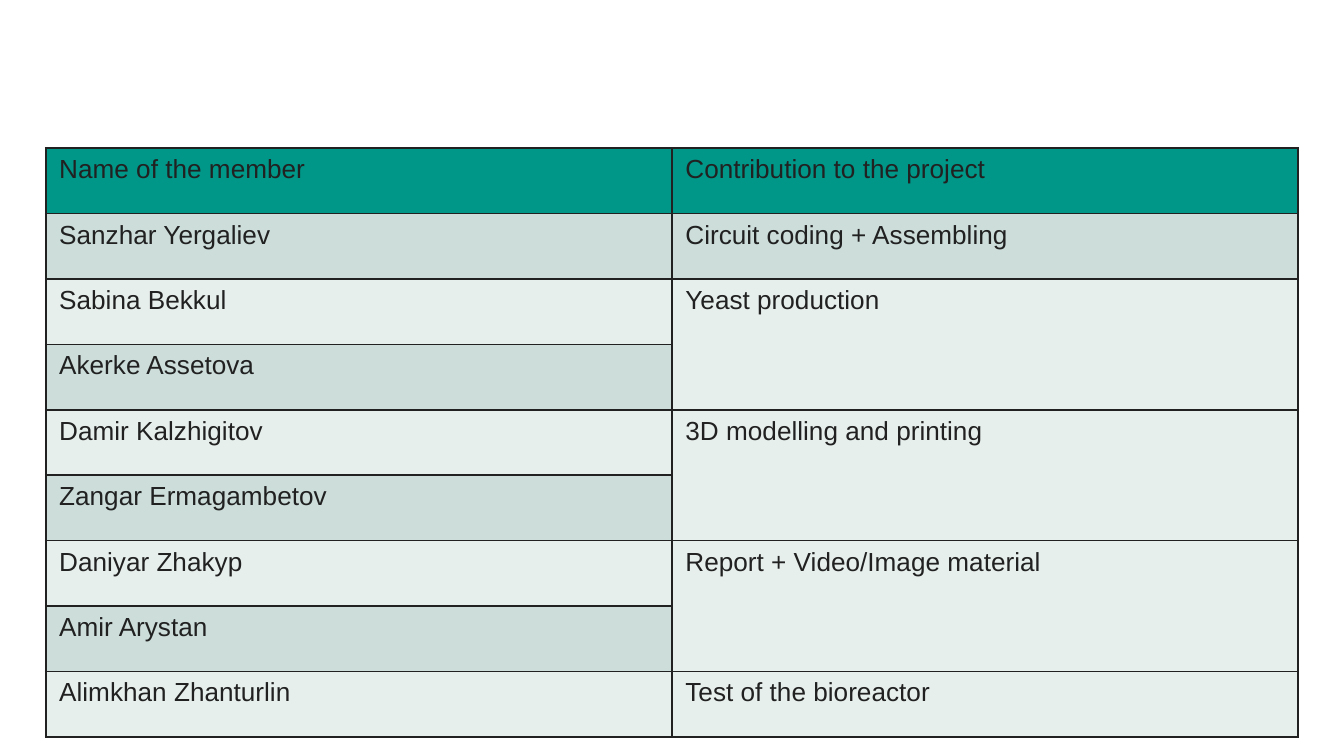
from lxml import etree
from pptx import Presentation
from pptx.dml.color import RGBColor
from pptx.enum.shapes import MSO_SHAPE
from pptx.oxml.ns import qn
from pptx.util import Pt

RECTANGLE = MSO_SHAPE.RECTANGLE
BLANK_LAYOUT = 6
WIDTH, HEIGHT = 720, 405
INK, WHITE = "212121", "FFFFFF"
HEADER_FILL, DARK_BAND, LIGHT_BAND = "009688", "CCDDDA", "E7EFED"
HEADER = ("Name of the member", "Contribution to the project")
TEAMS = [
    ("Circuit coding + Assembling", ["Sanzhar Yergaliev"]),
    ("Yeast production", ["Sabina Bekkul", "Akerke Assetova"]),
    ("3D modelling and printing", ["Damir Kalzhigitov", "Zangar Ermagambetov"]),
    ("Report + Video/Image material", ["Daniyar Zhakyp", "Amir Arystan"]),
    ("Test of the bioreactor", ["Alimkhan Zhanturlin"]),
]


def color(value):
    return RGBColor.from_string(value)


class SlideBuilder:
    text_format = {"name": "Arial", "size": Pt(14), "bold": False}
    border_width = Pt(1)

    def __init__(self, page):
        self.page = page

    def backdrop(self, fill):
        box = self.page.shapes.add_shape(RECTANGLE, 0, 0, Pt(WIDTH), Pt(HEIGHT))
        box.shadow.inherit = False
        box.fill.solid()
        box.fill.fore_color.rgb = color(fill)
        box.line.color.rgb = color(fill)
        box.line.width = Pt(2)

    def table(self, left, top, width, height, rows, columns):
        frame = self.page.shapes.add_table(
            rows, columns, Pt(left), Pt(top), Pt(width), Pt(height)
        )
        return frame.table

    def borders(self, cell):
        properties = cell._tc.get_or_add_tcPr()
        for side in ("lnL", "lnR", "lnT", "lnB"):
            line = etree.SubElement(
                properties, qn(f"a:{side}"), w=str(self.border_width)
            )
            solid = etree.SubElement(line, qn("a:solidFill"))
            etree.SubElement(solid, qn("a:srgbClr"), val=INK)

    def cell(self, cell, text, fill):
        self.borders(cell)
        cell.fill.solid()
        cell.fill.fore_color.rgb = color(fill)
        span = cell.text_frame.paragraphs[0].add_run()
        span.text = text
        for name, value in self.text_format.items():
            setattr(span.font, name, value)
        span.font.color.rgb = color(INK)


def main():
    deck = Presentation()
    deck.slide_width, deck.slide_height = Pt(WIDTH), Pt(HEIGHT)
    builder = SlideBuilder(deck.slides.add_slide(deck.slide_layouts[BLANK_LAYOUT]))
    builder.backdrop(WHITE)

    row_count = 1 + sum(len(members) for _, members in TEAMS)
    table = builder.table(24.5, 79.4, 671, 315.5, row_count, len(HEADER))
    for column, title in enumerate(HEADER):
        builder.cell(table.cell(0, column), title, HEADER_FILL)

    row = 1
    for contribution, members in TEAMS:
        first = row
        for member in members:
            fill = DARK_BAND if row % 2 else LIGHT_BAND
            builder.cell(table.cell(row, 0), member, fill)
            row += 1
        task = table.cell(first, 1)
        if len(members) > 1:
            task.merge(table.cell(row - 1, 1))
        builder.cell(task, contribution, DARK_BAND if first % 2 else LIGHT_BAND)

    deck.save("out.pptx")


if __name__ == "__main__":
    main()
